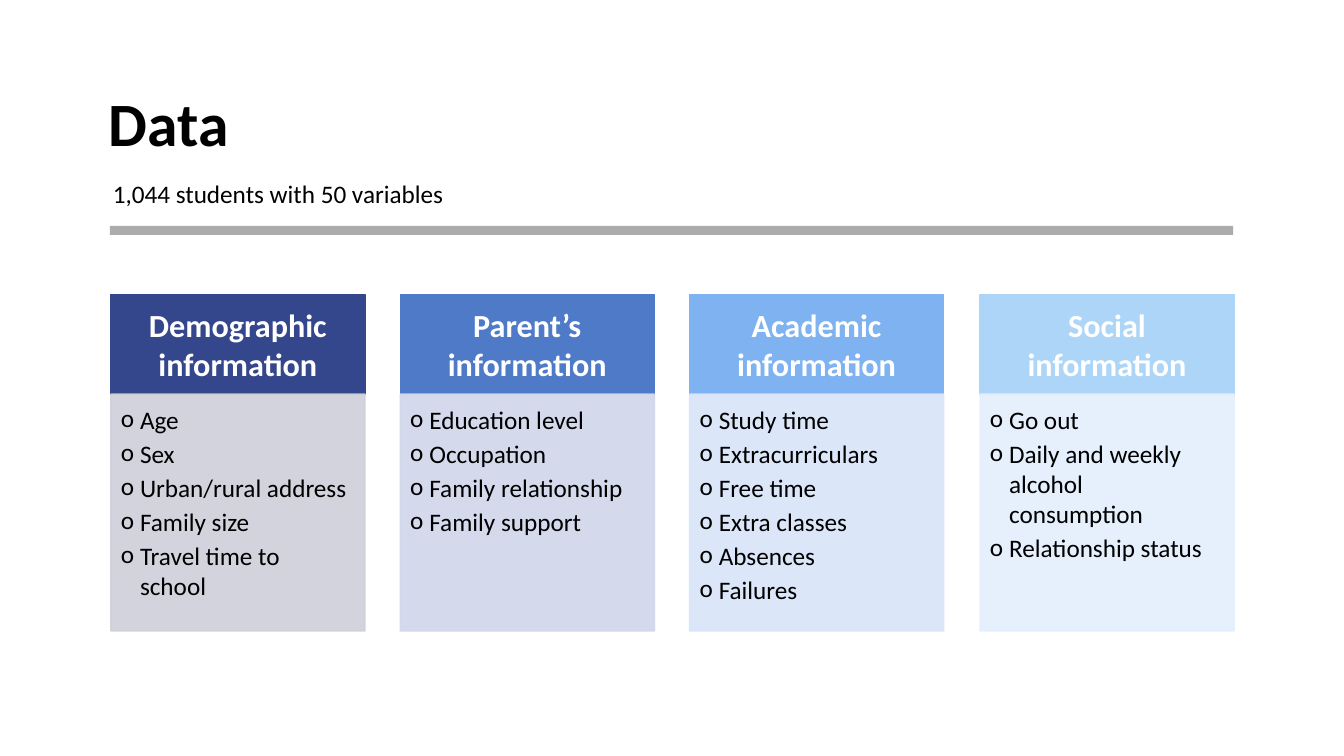
"""Build the slide that lists the student data variables in four cards."""
from dataclasses import dataclass

from lxml import etree
from pptx import Presentation
from pptx.dml.color import RGBColor
from pptx.enum.shapes import MSO_SHAPE
from pptx.enum.text import MSO_ANCHOR, MSO_AUTO_SIZE, PP_ALIGN
from pptx.oxml.ns import qn
from pptx.util import Pt

RECTANGLE = MSO_SHAPE.RECTANGLE
MIDDLE, TOP = MSO_ANCHOR.MIDDLE, MSO_ANCHOR.TOP
CENTER, LEFT = PP_ALIGN.CENTER, PP_ALIGN.LEFT
NO_AUTOFIT, GROW = MSO_AUTO_SIZE.NONE, MSO_AUTO_SIZE.SHAPE_TO_FIT_TEXT

EMU_PER_PX = 9144


@dataclass(frozen=True)
class Theme:
    """Colours, font and type sizes."""
    font: str = "Calibri"
    text: str = "000000"
    heading_text: str = "FFFFFF"
    rule: str = "808080"
    rule_opacity: int = 65
    body_opacity: int = 90
    title_size: int = 44
    heading_size: int = 23
    body_size: int = 18
    item_gap: float = 2.7


@dataclass(frozen=True)
class Box:
    """A rectangle in px."""
    left: int
    top: int
    width: int
    height: int

    def emu(self) -> list[int]:
        """Return the four lengths in EMU."""
        return [px(n) for n in (self.left, self.top, self.width, self.height)]


@dataclass(frozen=True)
class Card:
    """A heading with its colours and listed variables."""
    heading: str
    heading_fill: str
    body_fill: str
    items: tuple[str, ...]


THEME = Theme()
TITLE_BOX = Box(98, 53, 1143, 145)
SUBTITLE_BOX = Box(102, 172, 352, 40)
RULE_BOX = Box(109, 224, 1114, 9)
FIRST_LEFT, LAST_LEFT, CARD_WIDTH = 110, 972, 252
HEADING_TOP, HEADING_HEIGHT, BODY_HEIGHT = 292, 99, 235
HEADING_INSETS = (18, 10, 18, 10)
BODY_INSETS = (10, 10, 14, 16)
BULLET_INDENT = 19

CARDS = (
    Card("Demographic information", "35478C", "CECFDA",
         ("Age", "Sex", "Urban/rural address", "Family size", "Travel time to school")),
    Card("Parent’s information", "4E7AC7", "D0D7EB",
         ("Education level", "Occupation", "Family relationship", "Family support")),
    Card("Academic information", "7FB2F0", "D8E4F9",
         ("Study time", "Extracurriculars", "Free time", "Extra classes", "Absences", "Failures")),
    Card("Social information", "ADD5F7", "E3EFFC",
         ("Go out", "Daily and weekly alcohol consumption", "Relationship status")),
)


def px(length: int) -> int:
    """Turn px into EMU."""
    return length * EMU_PER_PX


def style_text(text_frame, size: int, color: str, bold: bool = False) -> None:
    """Format every run of a text frame."""
    for paragraph in text_frame.paragraphs:
        for run in paragraph.runs:
            run.font.name = THEME.font
            run.font.size = Pt(size)
            run.font.bold = bold
            run.font.color.rgb = RGBColor.from_string(color)


def set_insets(text_frame, insets: tuple[int, int, int, int]) -> None:
    """Set the left, top, right and bottom insets."""
    (text_frame.margin_left, text_frame.margin_top,
     text_frame.margin_right, text_frame.margin_bottom) = map(px, insets)


def add_rectangle(slide, box: Box, color: str, opacity: int = 100, outlined: bool = True):
    """Add a filled rectangle with an outline of the same colour."""
    shape = slide.shapes.add_shape(RECTANGLE, *box.emu())
    shape.shadow.inherit = False
    shape.fill.solid()
    shape.fill.fore_color.rgb = RGBColor.from_string(color)
    if outlined:
        shape.line.color.rgb = RGBColor.from_string(color)
        shape.line.width = Pt(1)
    else:
        shape.line.fill.background()
    if opacity < 100:
        for element in shape.element.spPr.iter(qn("a:srgbClr")):
            etree.SubElement(element, qn("a:alpha"), val=str(opacity * 1000))
    return shape


def add_bullet(paragraph) -> None:
    """Give a paragraph a hanging round bullet."""
    properties = paragraph._p.get_or_add_pPr()
    properties.set("marL", str(px(BULLET_INDENT)))
    properties.set("indent", str(-px(BULLET_INDENT)))
    etree.SubElement(properties, qn("a:buFont"), typeface=THEME.font)
    etree.SubElement(properties, qn("a:buChar"), char="o")


def add_card(slide, card: Card, left: int) -> None:
    """Add the heading and the list of one card."""
    heading = add_rectangle(
        slide, Box(left, HEADING_TOP, CARD_WIDTH, HEADING_HEIGHT), card.heading_fill)
    text_frame = heading.text_frame
    text_frame.word_wrap = True
    text_frame.vertical_anchor = MIDDLE
    set_insets(text_frame, HEADING_INSETS)
    text_frame.text = card.heading
    text_frame.paragraphs[0].alignment = CENTER
    style_text(text_frame, THEME.heading_size, THEME.heading_text, bold=True)

    body = add_rectangle(
        slide, Box(left, HEADING_TOP + HEADING_HEIGHT, CARD_WIDTH, BODY_HEIGHT),
        card.body_fill, THEME.body_opacity)
    text_frame = body.text_frame
    text_frame.word_wrap = True
    text_frame.vertical_anchor = TOP
    set_insets(text_frame, BODY_INSETS)
    text_frame.text = "\n".join(card.items)
    for paragraph in text_frame.paragraphs:
        add_bullet(paragraph)
        paragraph.alignment = LEFT
        paragraph.space_after = Pt(THEME.item_gap)
    style_text(text_frame, THEME.body_size, THEME.text)


def add_title(slide) -> None:
    """Place and format the title."""
    title = slide.shapes.title
    title.left, title.top, title.width, title.height = TITLE_BOX.emu()
    text_frame = title.text_frame
    text_frame.text = "Data"
    text_frame.auto_size = NO_AUTOFIT
    text_frame.vertical_anchor = MIDDLE
    text_frame.paragraphs[0].alignment = LEFT
    text_frame.paragraphs[0].line_spacing = 0.9
    style_text(text_frame, THEME.title_size, THEME.text, bold=True)


def add_subtitle(slide) -> None:
    """Add the line under the title."""
    text_frame = slide.shapes.add_textbox(*SUBTITLE_BOX.emu()).text_frame
    text_frame.word_wrap = False
    text_frame.auto_size = GROW
    text_frame.text = "1,044 students with 50 variables"
    style_text(text_frame, THEME.body_size, THEME.text)


def main() -> None:
    """Build and save the presentation."""
    presentation = Presentation()
    presentation.slide_width, presentation.slide_height = px(1333), px(750)
    slide = presentation.slides.add_slide(presentation.slide_layouts[5])
    add_title(slide)
    add_rectangle(slide, RULE_BOX, THEME.rule, THEME.rule_opacity, outlined=False)
    for index, card in enumerate(CARDS):
        add_card(slide, card, FIRST_LEFT + index * (LAST_LEFT - FIRST_LEFT) // (len(CARDS) - 1))
    add_subtitle(slide)
    presentation.save("out.pptx")


if __name__ == "__main__":
    main()
